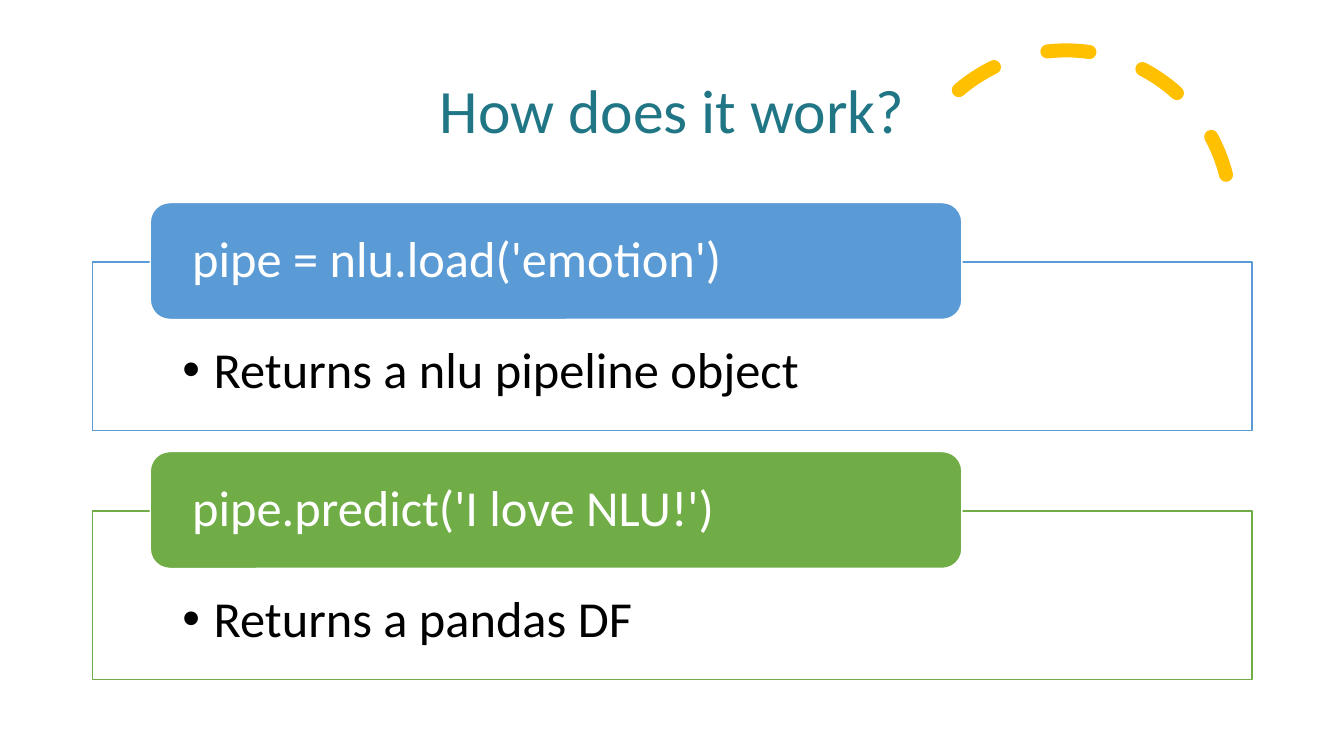
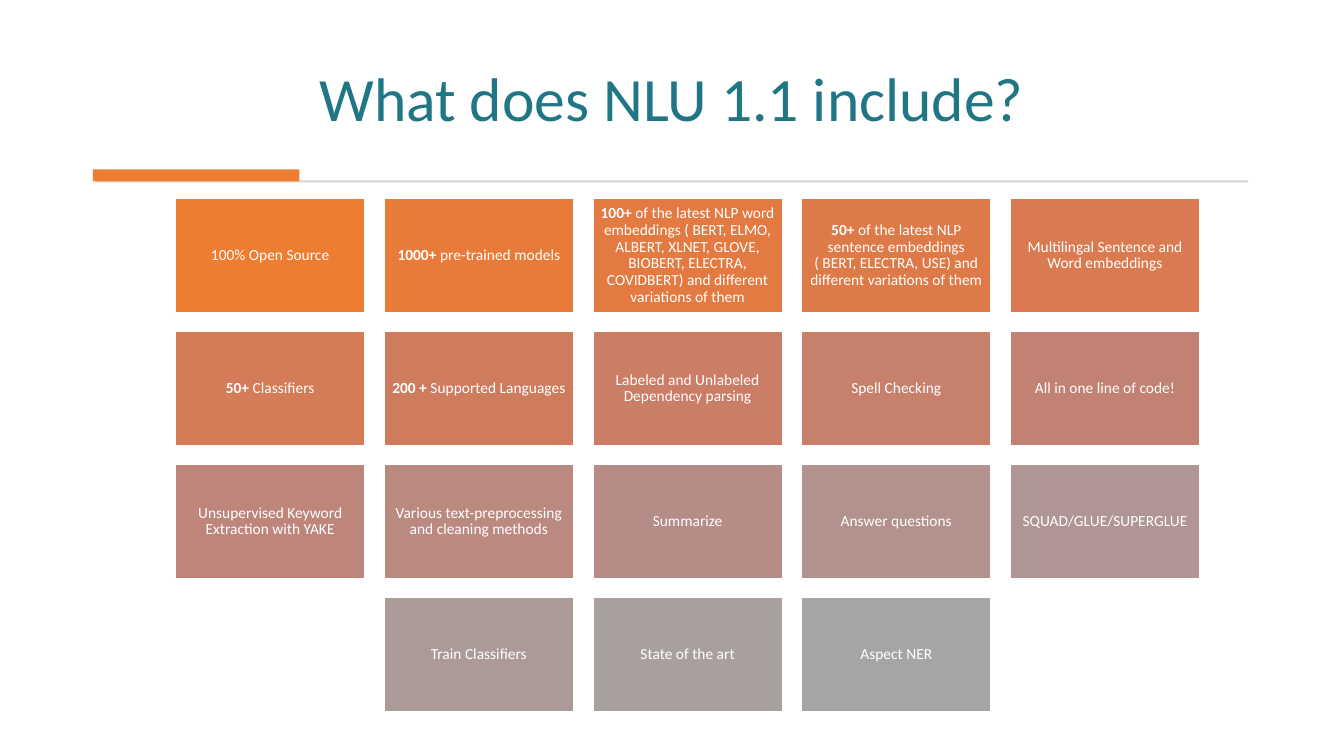
from colorsys import hls_to_rgb, rgb_to_hls

from lxml import etree
from pptx import Presentation
from pptx.dml.color import RGBColor
from pptx.enum.dml import MSO_LINE
from pptx.enum.shapes import MSO_SHAPE
from pptx.enum.text import MSO_ANCHOR, MSO_AUTO_SIZE, PP_ALIGN
from pptx.oxml.ns import qn
from pptx.util import Inches, Pt

RECT, ROUNDED, ARC = MSO_SHAPE.RECTANGLE, MSO_SHAPE.ROUNDED_RECTANGLE, MSO_SHAPE.ARC
LEFT, CENTER = PP_ALIGN.LEFT, PP_ALIGN.CENTER
TOP, MIDDLE, BOTTOM = MSO_ANCHOR.TOP, MSO_ANCHOR.MIDDLE, MSO_ANCHOR.BOTTOM
NO_FIT = MSO_AUTO_SIZE.NONE
DASH = MSO_LINE.DASH

FONT = "Calibri"
TEAL, YELLOW, BLUE, GREEN = "207685", "FFC000", "5B9BD5", "70AD47"
ORANGE, GRAY, RULE_GRAY = "ED7D31", "A5A5A5", "D5D5D5"
WHITE, BLACK = "FFFFFF", "000000"
TITLE_ONLY = 5

STEPS = [
    ("pipe = nlu.load('emotion')", "Returns a nlu pipeline object", BLUE),
    ("pipe.predict('I love NLU!')", "Returns a pandas DF", GREEN),
]

# Each feature is a bold lead and the plain text after it
FEATURES = [
    ("", "100% Open Source"),
    ("1000+ ", "pre-trained models"),
    ("100+", " of the latest NLP word embeddings ( BERT, ELMO, ALBERT, XLNET, "
             "GLOVE, BIOBERT, ELECTRA, COVIDBERT) and different variations of them"),
    ("50+", " of the latest NLP sentence embeddings ( BERT, ELECTRA, USE) "
            "and different variations of them"),
    ("", "Multilingal Sentence and Word embeddings"),
    ("50+", " Classifiers"),
    ("200 + ", "Supported Languages"),
    ("", "Labeled and Unlabeled Dependency parsing"),
    ("", "Spell Checking"),
    ("", "All in one line of code!"),
    ("", "Unsupervised Keyword Extraction with YAKE"),
    ("", "Various text-preprocessing and cleaning methods"),
    ("", "Summarize"),
    ("", "Answer questions"),
    ("", "SQUAD/GLUE/SUPERGLUE"),
    ("", "Train Classifiers"),
    ("", "State of the art"),
    ("", "Aspect NER"),
]


def color(value):
    return RGBColor.from_string(value)


def blend(start, end, share):
    """Mix two colours by hue, lightness and saturation."""
    first, last = (rgb_to_hls(*(part / 255 for part in color(value)))
                   for value in (start, end))
    mixed = hls_to_rgb(*(a + (b - a) * share for a, b in zip(first, last)))
    return "".join(f"{round(part * 255):02X}" for part in mixed)


class Deck:
    def __init__(self):
        self.file = Presentation()
        self.file.slide_width = Inches(13.33)
        self.file.slide_height = Inches(7.5)
        self.page = None

    def add_page(self, title, area, anchor):
        self.page = self.file.slides.add_slide(self.file.slide_layouts[TITLE_ONLY])
        box = self.page.shapes.title
        box.left, box.top, box.width, box.height = map(Inches, area)
        self.put_text(box, [("", title)], 44, TEAL, CENTER, anchor)

    def shape(self, kind, area, fill=None, line=None, width=1):
        box = self.page.shapes.add_shape(kind, *map(Inches, area))
        box.shadow.inherit = False
        if fill:
            box.fill.solid()
            box.fill.fore_color.rgb = color(fill)
        else:
            box.fill.background()
        if line:
            box.line.color.rgb = color(line)
            box.line.width = Pt(width)
        else:
            box.line.fill.background()
        return box

    def put_text(self, box, spans, size, ink, align=LEFT, anchor=MIDDLE,
                 insets=(0.1, 0.05, 0.1, 0.05), bullet=False):
        frame = box.text_frame
        frame.word_wrap = True
        frame.auto_size = NO_FIT
        frame.vertical_anchor = anchor
        (frame.margin_left, frame.margin_top,
         frame.margin_right, frame.margin_bottom) = map(Inches, insets)
        para = frame.paragraphs[0]
        if bullet:
            props = para._p.get_or_add_pPr()
            props.set("marL", str(Inches(0.31)))
            props.set("indent", str(-Inches(0.31)))
            etree.SubElement(props, qn("a:buFont")).set("typeface", "Arial")
            etree.SubElement(props, qn("a:buChar")).set("char", "•")
        para.alignment = align
        para.line_spacing = 0.9
        para.font.name = FONT
        para.font.size = Pt(size)
        para.font.color.rgb = color(ink)
        for lead, text in spans:
            if lead:
                span = para.add_run()
                span.text = lead
                span.font.bold = True
            para.add_run().text = text

    def dashed_arc(self, area, start, rotation):
        arc = self.shape(ARC, area, line=YELLOW, width=10)
        arc.adjustments[0] = start
        arc.rotation = rotation
        arc.line.dash_style = DASH
        arc._element.spPr.find(qn("a:ln")).set("cap", "rnd")

    def step(self, top, code, result, accent):
        """A framed result with its line of code on a tab above."""
        panel = self.shape(RECT, (0.92, top + 0.59, 11.5, 1.67), WHITE, accent)
        fill = panel._element.spPr.find(qn("a:solidFill"))
        etree.SubElement(fill[0], qn("a:alpha")).set("val", "90000")
        self.put_text(panel, [("", result)], 36, BLACK, anchor=TOP,
                      insets=(0.89, 0.82, 0.89, 0.28), bullet=True)
        tab = self.shape(ROUNDED, (1.49, top, 8.05, 1.16), accent, WHITE)
        self.put_text(tab, [("", code)], 36, WHITE, insets=(0.36, 0.06, 0.36, 0.06))

    def tile_grid(self, features, columns=5):
        """Tiles in rows, with a short last row centred."""
        for index, feature in enumerate(features):
            row, column = divmod(index, columns)
            in_row = min(columns, len(features) - row * columns)
            left = 1.74 + 2.07 * (column + (columns - in_row) / 2)
            fill = blend(ORANGE, GRAY, index / (len(features) - 1))
            tile = self.shape(RECT, (left, 1.97 + 1.32 * row, 1.88, 1.13), fill, WHITE)
            self.put_text(tile, [feature], 11, WHITE, CENTER, insets=(0.05,) * 4)


def main():
    deck = Deck()

    # How it works: two steps
    deck.add_page("How does it work?", (0.92, 0.4, 11.5, 1.45), MIDDLE)
    deck.dashed_arc((8.94, 0.5, 3.27, 3.27), 146.13, 345.8)
    for index, step in enumerate(STEPS):
        deck.step(2.01 + 2.47 * index, *step)

    # Features: ruled title and tiles
    deck.add_page("What does NLU 1.1 include?", (0.92, 0.28, 11.49, 1.11), BOTTOM)
    deck.shape(RECT, (0.95, 1.79, 11.43, 0.02), RULE_GRAY)
    deck.shape(RECT, (0.92, 1.68, 2.05, 0.12), ORANGE)
    deck.tile_grid(FEATURES)

    deck.file.save("out.pptx")


if __name__ == "__main__":
    main()
